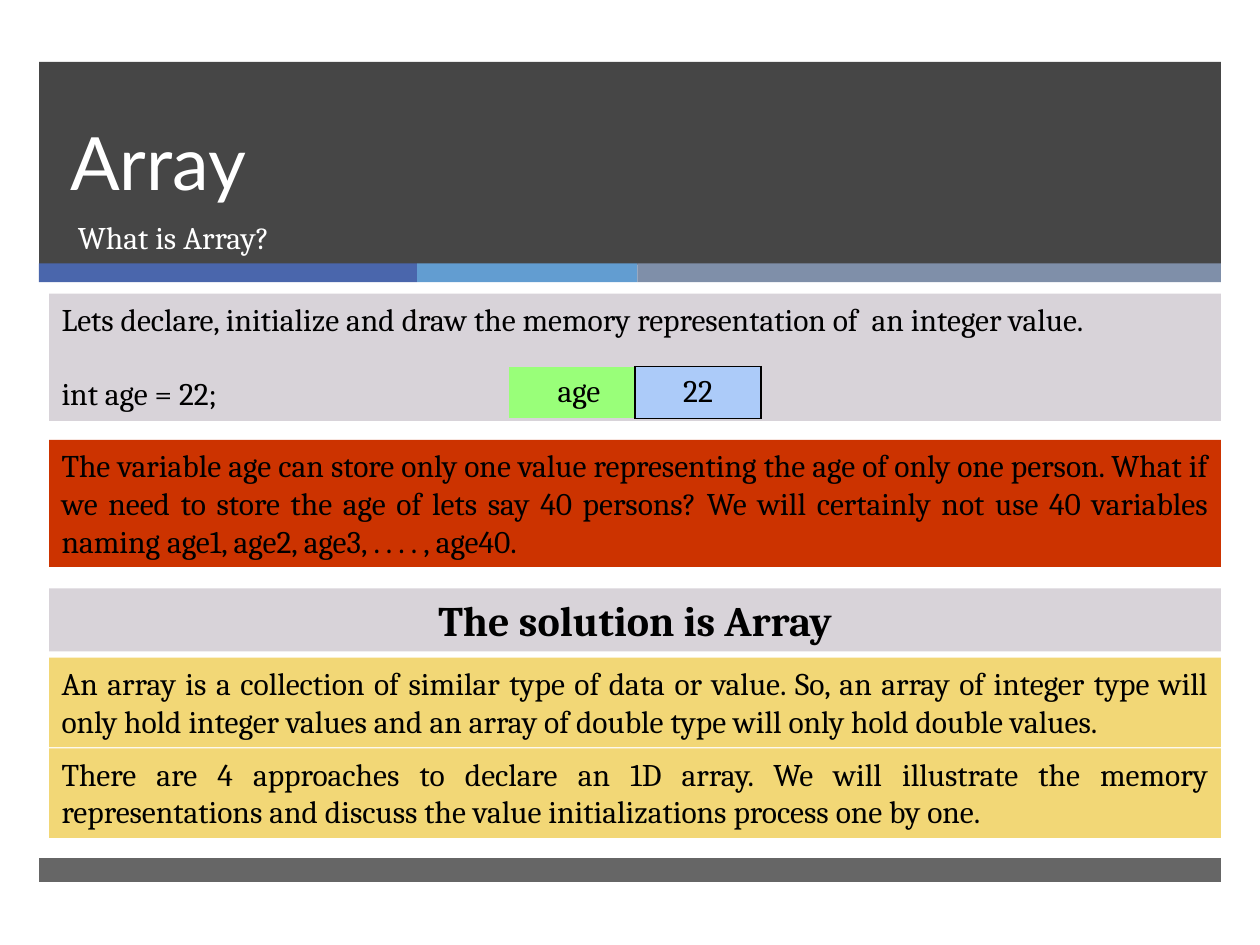
from lxml import etree
from pptx import Presentation
from pptx.dml.color import RGBColor
from pptx.enum.shapes import MSO_SHAPE
from pptx.enum.text import MSO_ANCHOR, PP_ALIGN
from pptx.oxml.ns import qn
from pptx.util import Pt

PX = 9144  # EMU per px, 100 px to the inch
RECTANGLE = MSO_SHAPE.RECTANGLE
TOP, MIDDLE, BOTTOM = MSO_ANCHOR.TOP, MSO_ANCHOR.MIDDLE, MSO_ANCHOR.BOTTOM
LEFT, CENTER, JUSTIFY = PP_ALIGN.LEFT, PP_ALIGN.CENTER, PP_ALIGN.JUSTIFY

BLACK = RGBColor(0x00, 0x00, 0x00)
WHITE = RGBColor(0xFF, 0xFF, 0xFF)
CHARCOAL = RGBColor(0x26, 0x26, 0x26)
INDIGO = RGBColor(0x4A, 0x66, 0xAC)
SKY = RGBColor(0x62, 0x9D, 0xD1)
SLATE = RGBColor(0x7F, 0x8F, 0xA9)
LILAC = RGBColor(0xD8, 0xD3, 0xD9)
RED = RGBColor(0xCC, 0x33, 0x00)
YELLOW = RGBColor(0xF2, 0xD7, 0x76)
GREEN = RGBColor(0x99, 0xFF, 0x79)
PALE_BLUE = RGBColor(0xAC, 0xCB, 0xF9)

BODY = {"name": "Cambria", "size": Pt(18), "color": BLACK}
HEADING = {**BODY, "size": Pt(24), "bold": True}
SUBTITLE = {**BODY, "color": WHITE}
TITLE = {"name": "Lato", "size": Pt(42), "color": WHITE}

deck = Presentation()
deck.slide_width, deck.slide_height = 1000 * PX, 750 * PX
page = deck.slides.add_slide(deck.slide_layouts[6])


def add_bar(left, top, width, height, color, opacity=100):
    bar = page.shapes.add_shape(RECTANGLE, left * PX, top * PX, width * PX, height * PX)
    bar.shadow.inherit = False
    bar.fill.solid()
    bar.fill.fore_color.rgb = color
    bar.line.fill.background()
    if opacity < 100:
        tint = bar.fill._xPr.find(".//" + qn("a:srgbClr"))
        etree.SubElement(tint, qn("a:alpha"), val=str(opacity * 1000))
    return bar


def write(frame, lines, style, align, anchor=TOP):
    frame.word_wrap = True
    frame.vertical_anchor = anchor
    for index, line in enumerate(lines):
        para = frame.add_paragraph() if index else frame.paragraphs[0]
        para.alignment = align
        span = para.add_run()
        span.text = line
        for key, value in style.items():
            if key == "color":
                span.font.color.rgb = value
            else:
                setattr(span.font, key, value)


# Header, accent stripe and footer
add_bar(31, 49, 938, 161, CHARCOAL, 85)
stripe_left = 31
for width, color in ((300, INDIGO), (175, SKY), (463, SLATE)):
    add_bar(stripe_left, 209, width, 15, color)
    stripe_left += width
add_bar(31, 681, 938, 19, CHARCOAL, 70)

# Title and subtitle
title = page.shapes.add_textbox(46 * PX, 49 * PX, 854 * PX, 119 * PX).text_frame
write(title, ["Array"], TITLE, LEFT, BOTTOM)
title.paragraphs[0].line_spacing = Pt(46)
subtitle = page.shapes.add_textbox(52 * PX, 168 * PX, 848 * PX, 53 * PX).text_frame
write(subtitle, ["What is Array?"], SUBTITLE, LEFT)

# Text panels
panels = (
    (233, 101, LILAC, BODY, JUSTIFY, [
        "Lets declare, initialize and draw the memory representation of  an integer value.",
        "int age = 22;"]),
    (349, 101, RED, BODY, JUSTIFY, [
        "The variable age can store only one value representing the age of only one person. "
        "What if we need to store the age of lets say 40 persons? We will certainly not use "
        "40 variables naming age1, age2, age3, . . . . , age40."]),
    (467, 50, LILAC, HEADING, CENTER, ["The solution is Array"]),
    (522, 71, YELLOW, BODY, JUSTIFY, [
        "An array is a collection of similar type of data or value. So, an array of integer "
        "type will only hold integer values and an array of double type will only hold "
        "double values."]),
    (594, 71, YELLOW, BODY, JUSTIFY, [
        "There are 4 approaches to declare an 1D array. We will illustrate the memory "
        "representations and discuss the value initializations process one by one."]),
)
for top, height, color, style, align, lines in panels:
    panel = add_bar(39, top, 930, height, color)
    write(panel.text_frame, lines, style, align)
    for para in panel.text_frame.paragraphs[1:]:
        para.space_before = Pt(21)

# Memory cell: variable name and its value
table = page.shapes.add_table(1, 2, 404 * PX, 291 * PX, 200 * PX, 41 * PX).table
table.first_row = table.horz_banding = False
cells = (("age", GREEN, ("R",)), ("22", PALE_BLUE, ("L", "R", "T", "B")))
for column, (label, color, edges) in enumerate(cells):
    cell = table.cell(0, column)
    write(cell.text_frame, [label], BODY, CENTER)
    cell.vertical_anchor = MIDDLE
    properties = cell._tc.get_or_add_tcPr()
    for side in "LRTB":
        border = etree.SubElement(properties, qn("a:ln" + side), w=str(Pt(1)))
        if side in edges:
            ink = etree.SubElement(border, qn("a:solidFill"))
            etree.SubElement(ink, qn("a:srgbClr"), val=str(BLACK))
        else:
            etree.SubElement(border, qn("a:noFill"))
    cell.fill.solid()
    cell.fill.fore_color.rgb = color
table.cell(0, 0).margin_left = 21 * PX

deck.save("out.pptx")
